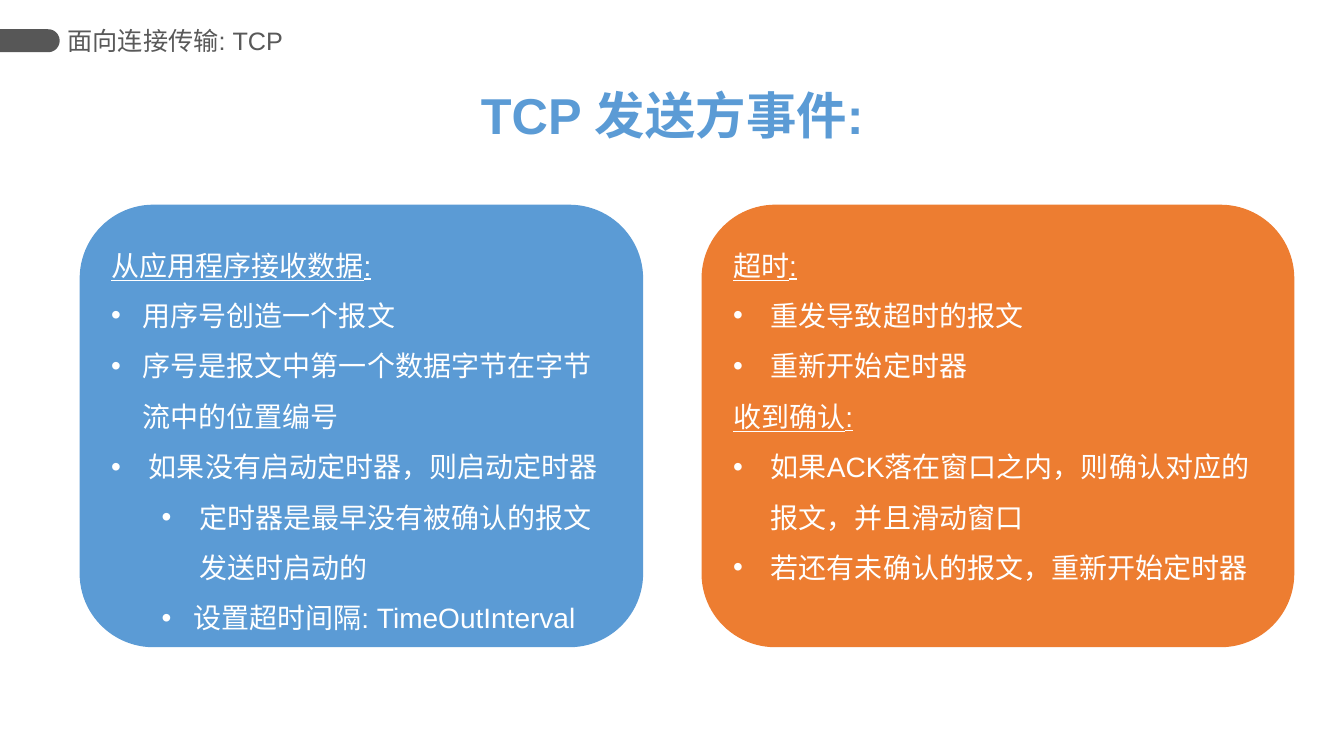
import math

from lxml import etree
from pptx import Presentation
from pptx.dml.color import RGBColor
from pptx.enum.shapes import MSO_SHAPE
from pptx.enum.text import MSO_ANCHOR, MSO_AUTO_SIZE, PP_ALIGN
from pptx.oxml.ns import qn
from pptx.util import Pt

ROUNDED = MSO_SHAPE.ROUNDED_RECTANGLE
TOP, MIDDLE = MSO_ANCHOR.TOP, MSO_ANCHOR.MIDDLE
LEFT, CENTER = PP_ALIGN.LEFT, PP_ALIGN.CENTER

SECTION = "面向连接传输: TCP"
TITLE = "TCP 发送方事件:"

# 
HEADING = None
CARDS = [
    {
        "left": 56.9, "width": 402.5, "fill": "blue",
        "lines": [
            ("从应用程序接收数据:", 0, HEADING),
            ("用序号创造一个报文", 0, 22.5),
            ("序号是报文中第一个数据字节在字节流中的位置编号", 0, 22.5),
            ("如果没有启动定时器，则启动定时器", 0, 27),
            ("定时器是最早没有被确认的报文发送时启动的", 1, 27),
            ("设置超时间隔: TimeOutInterval", 1, 22.5),
        ],
    },
    {
        "left": 501.1, "width": 423.4, "fill": "orange",
        "lines": [
            ("超时:", 0, HEADING),
            ("重发导致超时的报文", 0, 27),
            ("重新开始定时器", 0, 27),
            ("收到确认:", 0, HEADING),
            ("如果ACK落在窗口之内，则确认对应的报文，并且滑动窗口", 0, 27),
            ("若还有未确认的报文，重新开始定时器", 0, 27),
        ],
    },
]

THEME = {
    "font": "Arial",
    "blue": RGBColor(0x5B, 0x9B, 0xD5),
    "orange": RGBColor(0xED, 0x7D, 0x31),
    "tab": RGBColor(0x57, 0x57, 0x57),
    "section": RGBColor(0x59, 0x59, 0x59),
    "white": RGBColor(0xFF, 0xFF, 0xFF),
    "title_size": 36,
    "section_size": 18,
    "body_size": 20,
}

CARD_TOP, CARD_HEIGHT = 146.2, 316.1
LEVEL_INDENT = 36
TAB_TOP, TAB_WIDTH, TAB_RADIUS = 20.9, 42.6, 8.2
ARC_STEPS = 24


def set_font(paragraph, size, color, bold=False, underline=False):
    font = paragraph.font
    font.name = THEME["font"]
    font.size = Pt(size)
    font.color.rgb = color
    font.bold = bold
    font.underline = underline


def paint(shape, color):
    shape.shadow.inherit = False
    shape.fill.solid()
    shape.fill.fore_color.rgb = color
    shape.line.fill.background()


def add_bullet(paragraph, level, hanging):
    properties = paragraph._p.get_or_add_pPr()
    properties.set("marL", str(Pt(level * LEVEL_INDENT + hanging)))
    properties.set("indent", str(-Pt(hanging)))
    etree.SubElement(properties, qn("a:buFont")).set("typeface", THEME["font"])
    etree.SubElement(properties, qn("a:buChar")).set("char", "•")


def add_tab(slide):
    center_x, center_y = TAB_WIDTH - TAB_RADIUS, TAB_TOP + TAB_RADIUS
    angles = [math.pi * (step / ARC_STEPS - 0.5) for step in range(ARC_STEPS + 1)]
    arc = [(Pt(center_x + TAB_RADIUS * math.cos(angle)),
            Pt(center_y + TAB_RADIUS * math.sin(angle))) for angle in angles]
    builder = slide.shapes.build_freeform(0, Pt(TAB_TOP))
    builder.add_line_segments(arc + [(0, Pt(TAB_TOP + 2 * TAB_RADIUS))], close=True)
    paint(builder.convert_to_shape(), THEME["tab"])


def add_label(slide, text, box, size, color, bold=False, alignment=LEFT):
    label = slide.shapes.add_textbox(*map(Pt, box))
    paragraph = label.text_frame.paragraphs[0]
    paragraph.text = text
    paragraph.alignment = alignment
    set_font(paragraph, size, color, bold)
    return label.text_frame


def add_card(slide, card):
    shape = slide.shapes.add_shape(
        ROUNDED, Pt(card["left"]), Pt(CARD_TOP), Pt(card["width"]), Pt(CARD_HEIGHT))
    paint(shape, THEME[card["fill"]])
    frame = shape.text_frame
    frame.word_wrap = True
    frame.vertical_anchor = TOP
    for index, (text, level, hanging) in enumerate(card["lines"]):
        paragraph = frame.add_paragraph() if index else frame.paragraphs[0]
        paragraph.text = text
        paragraph.level = level
        paragraph.alignment = LEFT
        paragraph.line_spacing = 1.5
        if hanging is not HEADING:
            add_bullet(paragraph, level, hanging)
        set_font(paragraph, THEME["body_size"], THEME["white"],
                 underline=hanging is HEADING)


def main():
    presentation = Presentation()
    presentation.slide_width, presentation.slide_height = Pt(960), Pt(540)
    slide = presentation.slides.add_slide(presentation.slide_layouts[6])

    add_tab(slide)
    section = add_label(slide, SECTION, (48.2, 13.7, 167.8, 30.2),
                        THEME["section_size"], THEME["section"])
    section.word_wrap = True
    section.vertical_anchor = MIDDLE
    section.margin_left = section.margin_right = 0
    title = add_label(slide, TITLE, (334.8, 56.2, 290.9, 51.1),
                      THEME["title_size"], THEME["blue"], True, CENTER)
    title.word_wrap = False
    title.auto_size = MSO_AUTO_SIZE.SHAPE_TO_FIT_TEXT
    for card in CARDS:
        add_card(slide, card)

    presentation.save("out.pptx")


if __name__ == "__main__":
    main()
